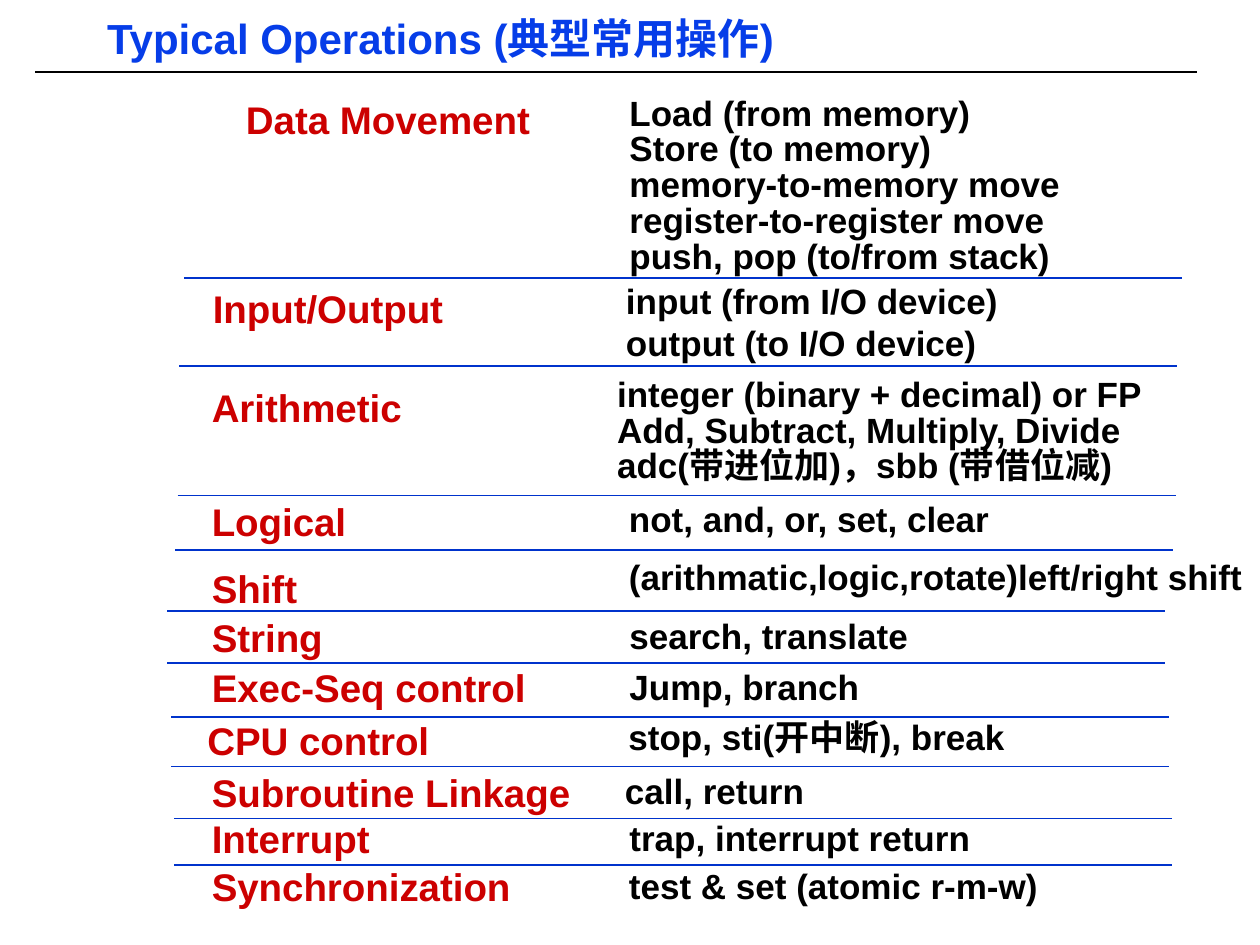
import pptx
import pptx.dml.color
import pptx.enum.shapes
import pptx.enum.text
import pptx.util
from lxml import etree

Cm, Pt = pptx.util.Cm, pptx.util.Pt
RGB = pptx.dml.color.RGBColor.from_string

THEME = {
    "title": {"name": "Arial", "size": Pt(24), "bold": True, "color": "063DE8"},
    "label": {"name": "Arial", "size": Pt(22), "bold": True, "color": "CC0000"},
    "operation": {"name": "Arial", "size": Pt(20), "bold": True, "color": "000000"},
    "header_rule": "000000",
    "row_rule": "0033CC",
}
TITLE = "Typical Operations (典型常用操作)"
TITLE_BOX = (1.98, 0.31, 17.12, 1.04)
HEADER_RULE = (0.71, 1.45, 23.42)  # left, top, length
ROW_RULE_LENGTH = 20.12
LINE_SPACING = 0.85
LABEL_HEIGHT, OPERATION_HEIGHT, LINE_STEP = 0.94, 0.86, 0.72
SLACK = 0.15  # spare width that keeps each line unbroken

# label, its (left, top, width); operations, their (left, top, width);
# (left, top) of the rule below, all in cm
ROWS = [
    ("Data Movement", (4.78, 2.0, 6.07),
     ["Load (from memory)", "Store (to memory)", "memory-to-memory move",
      "register-to-register move", "push, pop (to/from stack)"],
     (12.51, 1.89, 9.04), (3.71, 5.61)),
    ("Input/Output", (4.11, 5.81, 5.0),
     ["input (from I/O device)", "output (to I/O device)"],
     (12.44, 5.69, 7.85), (3.61, 7.38)),
    ("Arithmetic", (4.09, 7.8, 4.19),
     ["integer (binary + decimal) or FP", "Add, Subtract, Multiply, Divide",
      "adc(带进位加)，sbb (带借位减)"],
     (12.26, 7.56, 11.35), (3.58, 9.99)),
    ("Logical", (4.09, 10.11, 3.07), ["not, and, or, set, clear"],
     (12.5, 10.08, 7.67), (3.53, 11.08)),
    ("Shift", (4.09, 11.46, 2.08), ["(arithmatic,logic,rotate)left/right shift"],
     (12.5, 11.24, 12.73), (3.37, 12.32)),
    ("String", (4.09, 12.44, 2.59), ["search, translate"],
     (12.51, 12.43, 5.97), (3.37, 13.37)),
    ("Exec-Seq control", (4.09, 13.45, 6.68), ["Jump, branch"],
     (12.51, 13.46, 4.98), (3.45, 14.46)),
    ("CPU control", (4.0, 14.52, 4.83), ["stop, sti(开中断), break"],
     (12.49, 14.48, 11.48), (3.45, 15.45)),
    ("Subroutine Linkage", (4.09, 15.56, 7.59), ["call, return"],
     (12.42, 15.57, 3.96), (3.51, 16.5)),
    ("Interrupt", (4.09, 16.5, 3.53), ["trap, interrupt return"],
     (12.51, 16.51, 7.24), (3.51, 17.43)),
    ("Synchronization", (4.09, 17.47, 6.38), ["test & set (atomic r-m-w)"],
     (12.5, 17.47, 8.61), None),
]
LOOSE_LAST_LINE = {"Input/Output"}

FRAME = {
    "margin_left": Cm(0.18), "margin_right": Cm(0.18),
    "margin_top": Cm(0.08), "margin_bottom": Cm(0.08),
    "vertical_anchor": pptx.enum.text.MSO_ANCHOR.TOP,
    "auto_size": pptx.enum.text.MSO_AUTO_SIZE.SHAPE_TO_FIT_TEXT,
    "word_wrap": True,
}


def set_text(sp, lines, style, spacing=LINE_SPACING):
    tf = sp.text_frame
    for key, value in FRAME.items():
        setattr(tf, key, value)
    for i, line in enumerate(lines):
        p = tf.add_paragraph() if i else tf.paragraphs[0]
        p.alignment = pptx.enum.text.PP_ALIGN.LEFT
        p.line_spacing = spacing
        r = p.add_run()
        r.text = line
        for key, value in THEME[style].items():
            if key == "color":
                r.font.color.rgb = RGB(value)
            else:
                setattr(r.font, key, value)


def add_text(s, box, height, lines, style):
    left, top, width = box
    sp = s.shapes.add_textbox(Cm(left), Cm(top), Cm(width + SLACK), Cm(height))
    set_text(sp, lines, style)
    return sp


def add_rule(s, left, top, length, color):
    line = s.shapes.add_connector(
        pptx.enum.shapes.MSO_CONNECTOR.STRAIGHT,
        Cm(left), Cm(top), Cm(left + length), Cm(top))
    line.line.color.rgb = RGB(THEME[color])
    line.line.width = Pt(1)
    sp_pr = line._element.spPr
    etree.SubElement(sp_pr, pptx.oxml.ns.qn("a:effectLst"))


def main():
    prs = pptx.Presentation()
    prs.slide_width, prs.slide_height = Cm(25.4), Cm(19.05)
    s = prs.slides.add_slide(prs.slide_layouts.get_by_name("Title Only"))

    title = s.shapes.title
    title.left, title.top, title.width, title.height = map(Cm, TITLE_BOX)
    set_text(title, [TITLE], "title", spacing=0.87)
    add_rule(s, *HEADER_RULE, "header_rule")

    for label, label_box, operations, operation_box, rule in ROWS:
        add_text(s, label_box, LABEL_HEIGHT, [label], "label")
        height = OPERATION_HEIGHT + LINE_STEP * (len(operations) - 1)
        sp = add_text(s, operation_box, height, operations, "operation")
        if label in LOOSE_LAST_LINE:
            sp.text_frame.paragraphs[-1].line_spacing = 1.0
        if rule:
            add_rule(s, *rule, ROW_RULE_LENGTH, "row_rule")

    prs.save("out.pptx")


if __name__ == "__main__":
    main()
